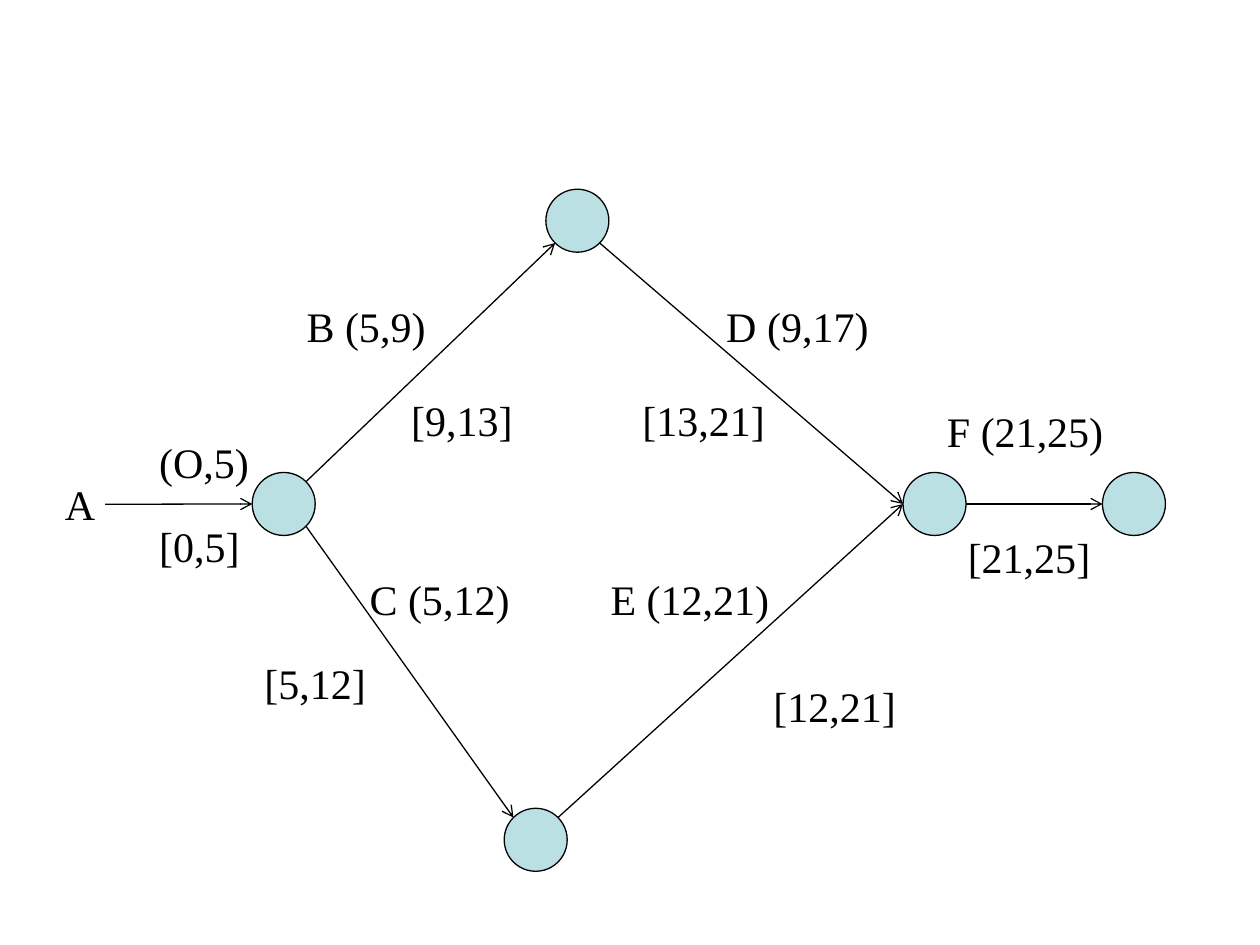
"""Build a one-slide activity network with earliest and latest times."""
from math import cos, radians, sin
from typing import NamedTuple

from lxml import etree
from pptx import Presentation
from pptx.dml.color import RGBColor
from pptx.enum.shapes import MSO_CONNECTOR, MSO_SHAPE
from pptx.oxml.ns import qn
from pptx.util import Cm, Pt

CIRCLE = MSO_SHAPE.FLOWCHART_CONNECTOR
STRAIGHT = MSO_CONNECTOR.STRAIGHT
RIGHT_SIDE = 3
FONT = "Times New Roman"
BLACK = "000000"
NODE_FILL = "BBE0E3"
DIAMETER = 1.27
LABEL_HEIGHT = 1.27
LINE_WIDTH = Pt(0.75)


class Node(NamedTuple):
    x: float
    y: float

    def rim(self, degrees: float) -> tuple[float, float]:
        """Return the rim point at an angle measured clockwise from the right."""
        angle = radians(degrees)
        radius = DIAMETER / 2
        return self.x + radius * cos(angle), self.y + radius * sin(angle)


class Label(NamedTuple):
    text: str
    left: float
    top: float
    width: float


class Activity(NamedTuple):
    start: Node
    start_angle: float
    end: Node
    end_angle: float


TOP = Node(11.64, 4.45)
FIRST = Node(5.72, 10.16)
LAST = Node(22.86, 10.16)
MERGE = Node(18.84, 10.16)
BOTTOM = Node(10.8, 16.93)
NODES = [TOP, FIRST, LAST, MERGE, BOTTOM]

START_LABEL = Label("A", 1.06, 9.53, 1.06)
LABELS = [
    Label("B (5,9)", 5.93, 5.93, 3.18),
    Label("[0,5]", 2.96, 10.37, 2.54),
    Label("(O,5)", 2.96, 8.68, 2.75),
    Label("[9,13]", 8.04, 7.83, 2.75),
    Label("[12,21]", 15.34, 13.59, 3.81),
    Label("[5,12]", 5.08, 13.12, 2.75),
    Label("E (12,21)", 12.06, 11.43, 4.02),
    Label("C (5,12)", 7.2, 11.43, 3.6),
    Label("[13,21]", 12.7, 7.83, 3.18),
    Label("[21,25]", 19.26, 10.58, 3.39),
    Label("D (9,17)", 14.39, 5.93, 3.6),
    Label("F (21,25)", 18.84, 8.04, 4.02),
]

ACTIVITIES = [
    Activity(FIRST, -45, TOP, 135),
    Activity(FIRST, 45, BOTTOM, -135),
    Activity(TOP, 45, MERGE, 180),
    Activity(MERGE, 0, LAST, 180),
    Activity(BOTTOM, -45, MERGE, 180),
]


def paint(color_format, color: str) -> None:
    """Give a fill or font colour format a hex colour."""
    color_format.rgb = RGBColor.from_string(color)


def draw_node(page, node: Node) -> None:
    """Draw an event circle around its centre."""
    radius = DIAMETER / 2
    circle = page.shapes.add_shape(
        CIRCLE, Cm(node.x - radius), Cm(node.y - radius), Cm(DIAMETER), Cm(DIAMETER))
    circle.shadow.inherit = False
    circle.fill.solid()
    paint(circle.fill.fore_color, NODE_FILL)
    paint(circle.line.color, BLACK)
    circle.line.width = LINE_WIDTH


def draw_label(page, label: Label):
    """Draw a text label and return its box."""
    box = page.shapes.add_textbox(
        Cm(label.left), Cm(label.top), Cm(label.width), Cm(LABEL_HEIGHT))
    box.text_frame.word_wrap = True
    para = box.text_frame.paragraphs[0]
    span = para.add_run()
    span.text = label.text
    span.font.name = FONT
    span.font.size = Pt(24)
    paint(span.font.color, BLACK)
    return box


def draw_arrow(page, start: tuple[float, float], end: tuple[float, float]):
    """Draw an open-headed arrow and return its connector."""
    arrow = page.shapes.add_connector(
        STRAIGHT, *(Cm(value) for value in (*start, *end)))
    paint(arrow.line.color, BLACK)
    arrow.line.width = LINE_WIDTH
    outline = arrow.line._get_or_add_ln()
    etree.SubElement(outline, qn("a:tailEnd")).set("type", "arrow")
    etree.SubElement(arrow._element.spPr, qn("a:effectLst"))
    return arrow


def main() -> None:
    """Build and save the deck."""
    deck = Presentation()
    deck.slide_width, deck.slide_height = Cm(25.4), Cm(19.05)
    page = deck.slides.add_slide(deck.slide_layouts[6])
    for node in NODES:
        draw_node(page, node)
    start_box = draw_label(page, START_LABEL)
    for label in LABELS:
        draw_label(page, label)
    first_rim = FIRST.rim(180)
    start_edge = (START_LABEL.left + START_LABEL.width, FIRST.y)
    draw_arrow(page, start_edge, first_rim).begin_connect(start_box, RIGHT_SIDE)
    for activity in ACTIVITIES:
        draw_arrow(page, activity.start.rim(activity.start_angle),
                   activity.end.rim(activity.end_angle))
    deck.save("out.pptx")


if __name__ == "__main__":
    main()
